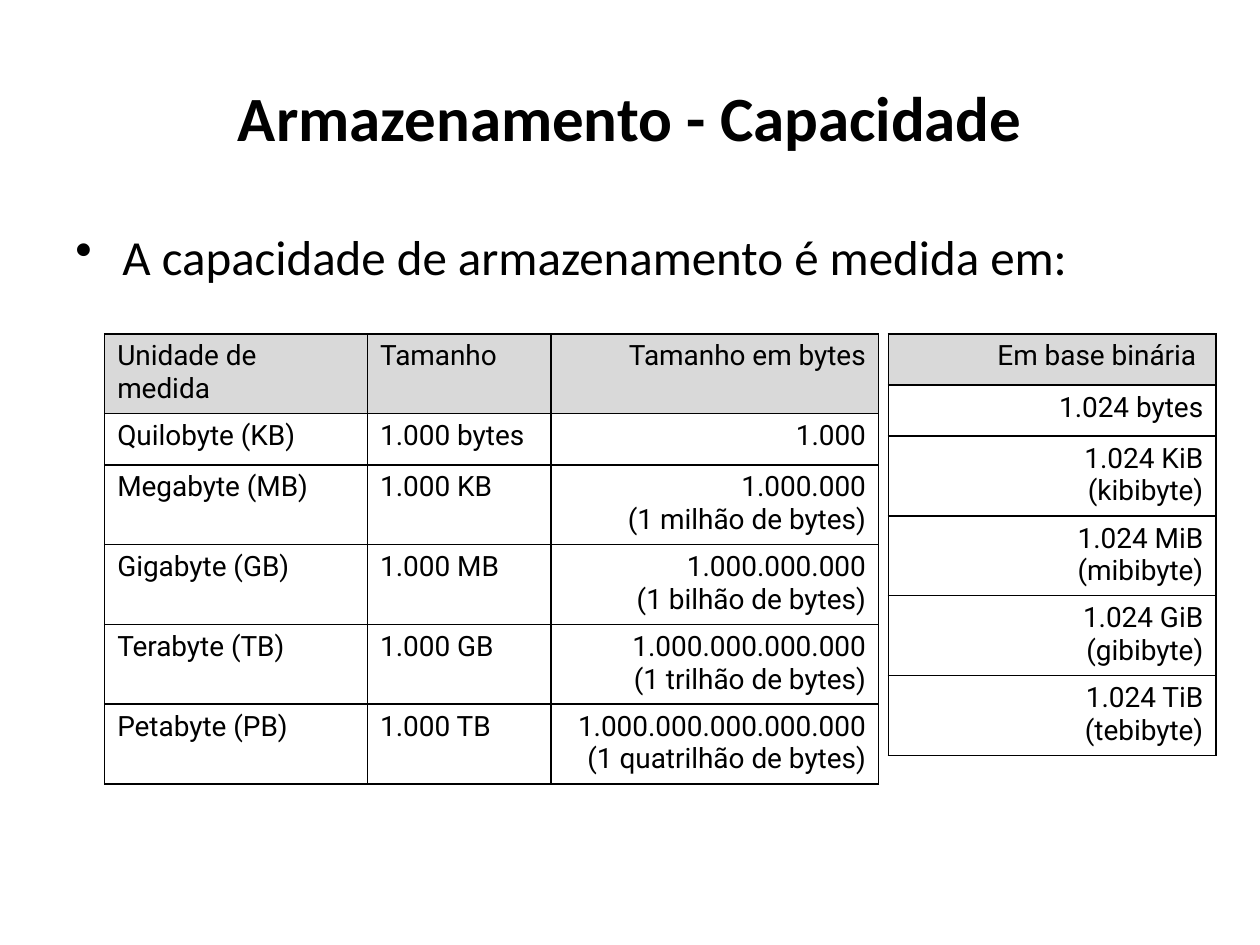
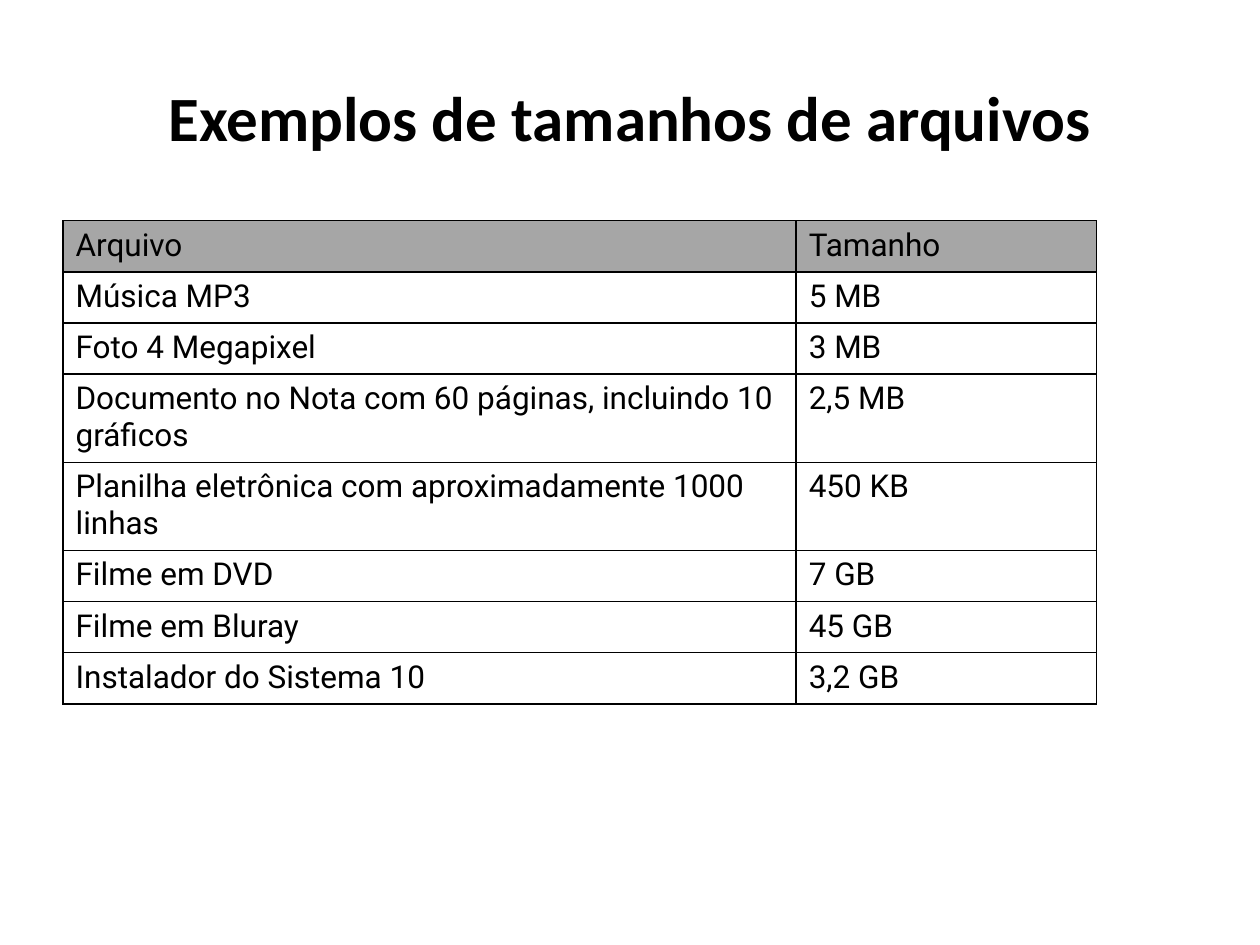
from lxml.etree import SubElement
from pptx import Presentation
from pptx.dml.color import RGBColor
from pptx.enum.text import MSO_ANCHOR, PP_ALIGN
from pptx.oxml.ns import qn
from pptx.util import Cm, Pt

BLACK = "000000"
LIGHT_GRAY = "D9D9D9"
MID_GRAY = "A6A6A6"
TITLE_FONT = "Calibri"
TABLE_FONT = "Roboto"
MARGIN = 1.27
CONTENT_WIDTH = 22.86
CONTENT_TOP = 4.45
ROW_HEIGHT = 1.03

UNITS = [
    ("Unidade de medida", "Tamanho", "Tamanho em bytes"),
    ("Quilobyte (KB)", "1.000 bytes", "1.000"),
    ("Megabyte (MB)", "1.000 KB", "1.000.000\n(1 milhão de bytes)"),
    ("Gigabyte (GB)", "1.000 MB", "1.000.000.000\n(1 bilhão de bytes)"),
    ("Terabyte (TB)", "1.000 GB", "1.000.000.000.000\n(1 trilhão de bytes)"),
    ("Petabyte (PB)", "1.000 TB", "1.000.000.000.000.000\n(1 quatrilhão de bytes)"),
]
BINARY_UNITS = [
    ("Em base binária ",),
    ("1.024 bytes",),
    ("1.024 KiB\v(kibibyte)",),
    ("1.024 MiB\n(mibibyte)",),
    ("1.024 GiB\n(gibibyte)",),
    ("1.024 TiB\n(tebibyte)",),
]
FILES = [
    ("Arquivo", "Tamanho"),
    ("Música MP3", "5 MB"),
    ("Foto 4 Megapixel", "3 MB"),
    ("Documento no Nota com 60 páginas, incluindo 10 gráficos", "2,5 MB"),
    ("Planilha eletrônica com aproximadamente 1000 linhas", "450 KB"),
    ("Filme em DVD", "7 GB"),
    ("Filme em Bluray", "45 GB"),
    ("Instalador do Sistema 10", "3,2 GB"),
]


def color(value):
    return RGBColor.from_string(value)


def style_font(para, name, size, bold=False):
    para.font.name = name
    para.font.size = Pt(size)
    para.font.bold = bold
    para.font.color.rgb = color(BLACK)


def add_text(page, text, top, height, size, bold=False):
    box = page.shapes.add_textbox(Cm(MARGIN), Cm(top), Cm(CONTENT_WIDTH), Cm(height))
    frame = box.text_frame
    frame.word_wrap = True
    frame.text = text
    para = frame.paragraphs[0]
    style_font(para, TITLE_FONT, size, bold)
    return frame, para


def add_title(page, text):
    frame, para = add_text(page, text, 0.76, 3.18, 36, True)
    frame.vertical_anchor = MSO_ANCHOR.MIDDLE
    para.alignment = PP_ALIGN.CENTER


def add_bullet(page, text):
    para = add_text(page, text, CONTENT_TOP, 13.87, 28)[1]
    para.space_before = Pt(5.6)
    properties = para._p.get_or_add_pPr()
    properties.set("marL", str(Cm(0.95)))
    properties.set("indent", str(-Cm(0.95)))
    SubElement(properties, qn("a:buChar"), char="•")


def add_borders(cell):
    properties = cell._tc.get_or_add_tcPr()
    for side in "LRTB":
        line = SubElement(properties, qn(f"a:ln{side}"), w=str(Pt(1)))
        fill = SubElement(line, qn("a:solidFill"))
        SubElement(fill, qn("a:srgbClr"), val=BLACK)


def add_grid(page, left, top, widths, rows, size, header_fill, right_column=None):
    table = page.shapes.add_table(
        len(rows), len(widths), Cm(left), Cm(top),
        Cm(sum(widths)), Cm(ROW_HEIGHT * len(rows)),
    ).table
    table.first_row = False
    table.horz_banding = False
    for column, width in zip(table.columns, widths):
        column.width = Cm(width)
    for row_index, row in enumerate(rows):
        for column_index, text in enumerate(row):
            cell = table.cell(row_index, column_index)
            cell.text = text
            add_borders(cell)
            if row_index == 0:
                cell.fill.solid()
                cell.fill.fore_color.rgb = color(header_fill)
            else:
                cell.fill.background()
            for para in cell.text_frame.paragraphs:
                style_font(para, TABLE_FONT, size)
                if column_index == right_column:
                    para.alignment = PP_ALIGN.RIGHT


def add_page(deck, title):
    page = deck.slides.add_slide(deck.slide_layouts[6])
    add_title(page, title)
    return page


def add_capacity_page(deck):
    page = add_page(deck, "Armazenamento - Capacidade")
    add_bullet(page, "A capacidade de armazenamento é medida em:")
    top = 6.73
    add_grid(page, 2.11, top, [5.3, 3.7, 6.6], UNITS, 16, LIGHT_GRAY, 2)
    add_grid(page, 17.91, top, [6.6], BINARY_UNITS, 16, LIGHT_GRAY, 0)


def add_files_page(deck):
    page = add_page(deck, "Exemplos de tamanhos de arquivos")
    add_grid(page, MARGIN, CONTENT_TOP, [14.78, 6.05], FILES, 18, MID_GRAY)


def main():
    deck = Presentation()
    deck.slide_width = Cm(25.4)
    deck.slide_height = Cm(19.05)
    add_capacity_page(deck)
    add_files_page(deck)
    deck.save("out.pptx")


if __name__ == "__main__":
    main()
